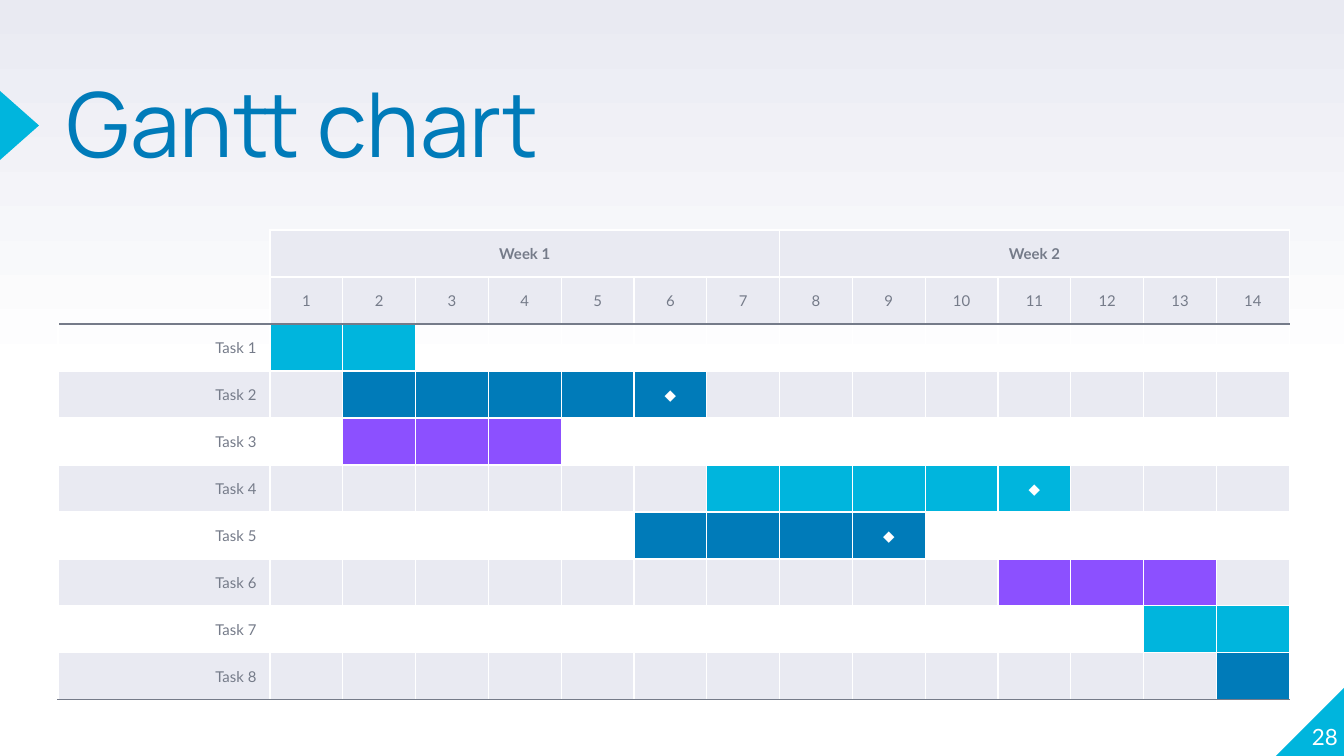
from copy import deepcopy
from dataclasses import dataclass

from lxml import etree
from pptx import Presentation
from pptx.dml.color import RGBColor
from pptx.enum import shapes, text
from pptx.oxml.ns import qn
from pptx.util import Pt

EMU_PER_PX = 914400 / 134.4
WHITE = RGBColor(0xFF, 0xFF, 0xFF)
PALE = RGBColor(0xE9, 0xEA, 0xF2)
GREY = RGBColor(0x75, 0x7B, 0x89)
CYAN = RGBColor(0x00, 0xB5, 0xDD)
BLUE = RGBColor(0x00, 0x7B, 0xB9)
PURPLE = RGBColor(0x8C, 0x50, 0xFF)

DAYS_PER_WEEK = 7
WEEKS = 2
DAYS = DAYS_PER_WEEK * WEEKS
HEADER_ROWS = 2
LABEL_WIDTH, DAYS_WIDTH, ROW_HEIGHT = 212, 1020, 47
ALIGN = text.PP_ALIGN


@dataclass(frozen=True)
class Task:
    first: int
    last: int
    color: RGBColor
    milestone: bool = False


@dataclass(frozen=True)
class Label:
    wording: str
    size: int
    color: RGBColor
    align: ALIGN
    font: str = "Lato"
    bold: bool = False


TASKS = [
    Task(1, 2, CYAN),
    Task(2, 6, BLUE, True),
    Task(2, 4, PURPLE),
    Task(7, 11, CYAN, True),
    Task(6, 9, BLUE, True),
    Task(11, 13, PURPLE),
    Task(13, 14, CYAN),
    Task(14, 14, BLUE),
]


def px(length: int) -> int:
    return round(length * EMU_PER_PX)


def write(frame, label: Label) -> None:
    para = frame.paragraphs[0]
    para.alignment = label.align
    span = para.add_run()
    span.text = label.wording
    formats = {"name": label.font, "size": Pt(label.size), "bold": label.bold}
    for name, value in formats.items():
        setattr(span.font, name, value)
    span.font.color.rgb = label.color


def add_label(page, place: tuple, label: Label, anchor):
    box = page.shapes.add_textbox(*map(px, place))
    formats = {"word_wrap": True, "vertical_anchor": anchor, "margin_left": 0,
               "margin_top": 0, "margin_right": 0, "margin_bottom": 0}
    for name, value in formats.items():
        setattr(box.text_frame, name, value)
    write(box.text_frame, label)
    return box


def add_accent(page, kind, place: tuple):
    accent = page.shapes.add_shape(kind, *map(px, place))
    accent.shadow.inherit = False
    accent.fill.solid()
    accent.fill.fore_color.rgb = CYAN
    accent.line.fill.background()
    return accent


def paint_background(page) -> None:
    """Fade from white in the lower half to a pale top."""
    fill = page.background.fill
    fill.gradient()
    fill.gradient_angle = 90
    stop_list = next(page._element.iter(qn("a:gsLst")))
    stop_list.insert(1, deepcopy(stop_list[0]))
    for stop, position, color in zip(fill.gradient_stops, (0, 0.5, 1), (WHITE, WHITE, PALE)):
        stop.position = position
        stop.color.rgb = color


def set_borders(cell, row: int, column: int) -> None:
    """Draw white grid lines, grey rules under header and last row, and an open corner."""
    last_row = HEADER_ROWS + len(TASKS) - 1
    edges = {"L": WHITE, "R": WHITE, "T": WHITE, "B": WHITE}
    if column == 0 and row < HEADER_ROWS:
        edges.update(L=None, T=None, B=None)
    if row in (HEADER_ROWS - 1, last_row):
        edges["B"] = GREY
    if row == HEADER_ROWS:
        edges["T"] = GREY
    properties = cell._tc.get_or_add_tcPr()
    for side, color in edges.items():
        line = etree.SubElement(properties, qn(f"a:ln{side}"), w=str(Pt(0.75)))
        if color is None:
            etree.SubElement(line, qn("a:noFill"))
        else:
            solid = etree.SubElement(line, qn("a:solidFill"))
            etree.SubElement(solid, qn("a:srgbClr"), val=str(color))


def cell_fill(row: int, day: int) -> RGBColor | None:
    if row < HEADER_ROWS:
        return PALE if day else None
    task = TASKS[row - HEADER_ROWS]
    if task.first <= day <= task.last:
        return task.color
    return PALE if row % 2 else None


def cell_label(row: int, day: int) -> Label | None:
    if row >= HEADER_ROWS:
        number = row - HEADER_ROWS + 1
        task = TASKS[number - 1]
        if day == 0:
            return Label(f"Task {number}", 8, GREY, ALIGN.RIGHT)
        if task.milestone and day == task.last:
            return Label("◆", 8, WHITE, ALIGN.CENTER)
    elif day and row == 1:
        return Label(str(day), 8, GREY, ALIGN.CENTER)
    elif day % DAYS_PER_WEEK == 1:
        return Label(f"Week {day // DAYS_PER_WEEK + 1}", 8, GREY, ALIGN.CENTER, bold=True)
    return None


def format_cell(cell, row: int, day: int) -> None:
    set_borders(cell, row, day)
    color = cell_fill(row, day)
    if color is None:
        cell.fill.background()
    else:
        cell.fill.solid()
        cell.fill.fore_color.rgb = color
    cell.vertical_anchor = text.MSO_ANCHOR.MIDDLE
    label = cell_label(row, day)
    if label:
        write(cell.text_frame, label)
    else:
        # An empty cell must not force its row to grow.
        etree.SubElement(cell.text_frame.paragraphs[0]._p, qn("a:endParaRPr"), sz="800")


def add_gantt(page) -> None:
    rows = HEADER_ROWS + len(TASKS)
    place = (58, 230, LABEL_WIDTH + DAYS_WIDTH, ROW_HEIGHT * rows)
    table = page.shapes.add_table(rows, DAYS + 1, *map(px, place)).table
    table.first_row = table.horz_banding = False
    for day, column in enumerate(table.columns):
        column.width = px(DAYS_WIDTH) // DAYS if day else px(LABEL_WIDTH)
    for row in range(rows):
        table.rows[row].height = px(ROW_HEIGHT)
        for day in range(DAYS + 1):
            format_cell(table.cell(row, day), row, day)
    for start in range(1, DAYS + 1, DAYS_PER_WEEK):
        table.cell(0, start).merge(table.cell(0, start + DAYS_PER_WEEK - 1))


def main() -> None:
    deck = Presentation()
    deck.slide_width, deck.slide_height = px(1344), px(756)
    page = deck.slides.add_slide(deck.slide_layouts[6])
    paint_background(page)

    corner = add_accent(page, shapes.MSO_SHAPE.RIGHT_TRIANGLE, (1276, 688, 68, 68))
    corner._element.spPr.xfrm.set("flipH", "1")
    pointer = add_accent(page, shapes.MSO_SHAPE.ISOSCELES_TRIANGLE, (-15, 106, 69, 39))
    pointer.rotation = 90

    title = add_label(page, (67, 89, 829, 159),
                      Label("Gantt chart", 48, BLUE, ALIGN.LEFT, "Manrope"),
                      text.MSO_ANCHOR.TOP)
    title.text_frame.paragraphs[0].line_spacing = 0.8
    add_label(page, (1271, 681, 67, 69), Label("28", 12, WHITE, ALIGN.RIGHT),
              text.MSO_ANCHOR.BOTTOM)
    add_gantt(page)
    deck.save("out.pptx")


if __name__ == "__main__":
    main()
